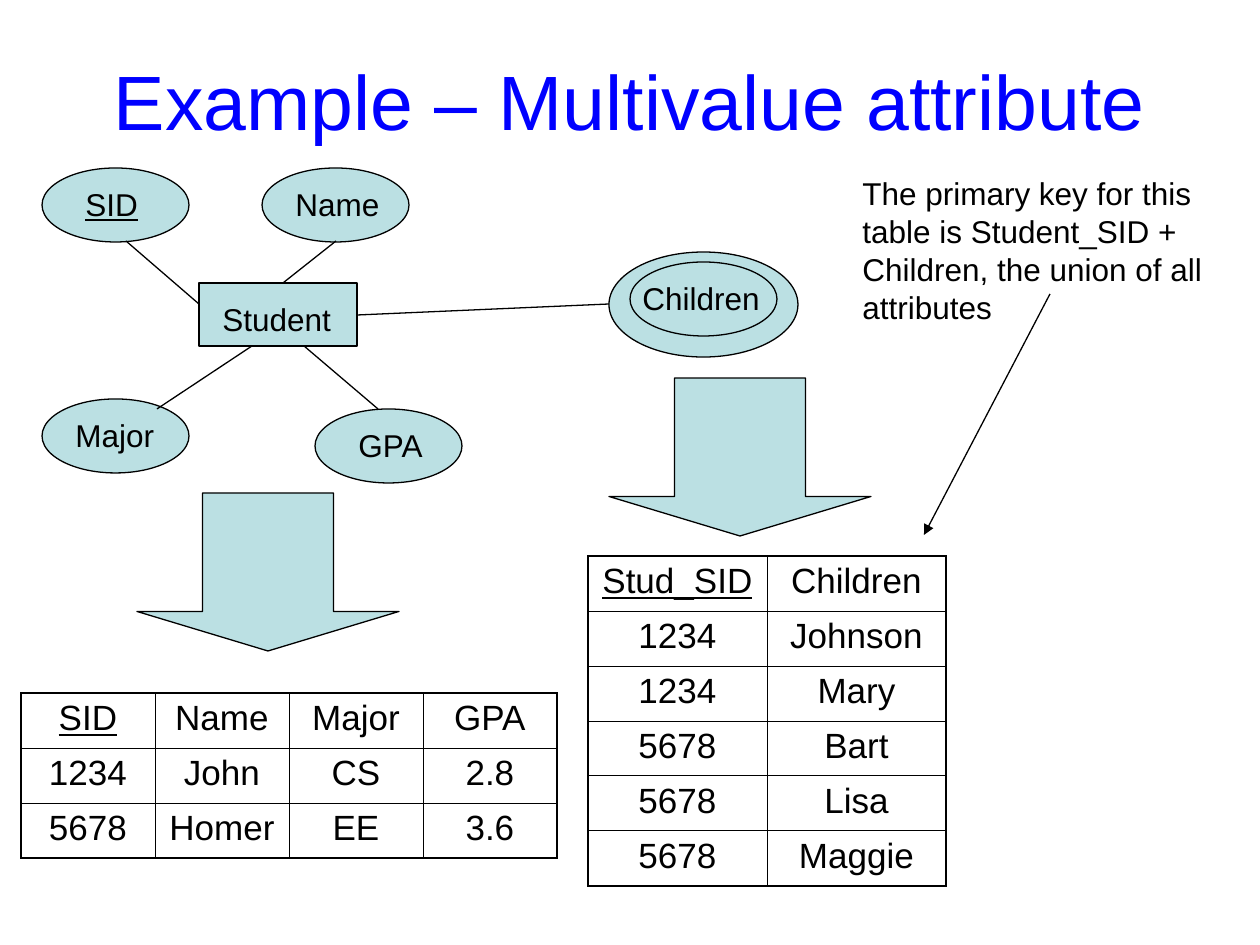
from lxml.etree import SubElement
from pptx import Presentation
from pptx.dml.color import RGBColor
from pptx.enum.shapes import MSO_CONNECTOR, MSO_SHAPE
from pptx.enum.text import MSO_ANCHOR, PP_ALIGN
from pptx.oxml import parse_xml
from pptx.oxml.ns import nsdecls, qn
from pptx.util import Emu, Pt

TITLE = "Example – Multivalue attribute"
FONT = "Arial"
BLACK, WHITE, BLUE, TEAL = "000000", "FFFFFF", "0000FF", "BBE0E3"

OVAL, RECT, ARROW = MSO_SHAPE.OVAL, MSO_SHAPE.RECTANGLE, MSO_SHAPE.DOWN_ARROW
OVAL_SIZE = (147, 74)
ARROW_SIZE = (262, 158)

# kind, left, top, width, height
SHAPES = [
    (RECT, 199, 283, 158, 63),
    (OVAL, 262, 168, *OVAL_SIZE),
    (OVAL, 42, 168, *OVAL_SIZE),
    (OVAL, 42, 399, *OVAL_SIZE),
    (OVAL, 315, 409, *OVAL_SIZE),
    (OVAL, 609, 252, 189, 105),
    (OVAL, 630, 262, *OVAL_SIZE),
    (ARROW, 137, 493, *ARROW_SIZE),
    (ARROW, 609, 378, *ARROW_SIZE),
]

# from x, from y, to x, to y
LINKS = [
    (126, 241, 199, 304),
    (336, 241, 283, 283),
    (378, 409, 304, 346),
    (157, 409, 252, 346),
    (609, 304, 357, 315),
]
POINTER = (1050, 294, 924, 535)

# text, left, top, width, height
KEY_LABEL = "SID"
LABELS = [
    ("Student", 210, 294, 136, 50),
    (KEY_LABEL, 73, 179, 105, 50),
    ("Name", 283, 179, 116, 50),
    ("Major", 63, 410, 105, 50),
    ("GPA", 346, 420, 95, 50),
    ("Children", 630, 273, 147, 50),
    ("The primary key for this table is Student_SID + Children, "
     "the union of all attributes", 850, 168, 378, 164),
]

STUDENT_ROWS = [
    ("SID", "Name", "Major", "GPA"),
    ("1234", "John", "CS", "2.8"),
    ("5678", "Homer", "EE", "3.6"),
]
CHILDREN_ROWS = [
    ("Stud_SID", "Children"),
    ("1234", "Johnson"),
    ("1234", "Mary"),
    ("5678", "Bart"),
    ("5678", "Lisa"),
    ("5678", "Maggie"),
]
# rows, left, top, column width
TABLES = [(STUDENT_ROWS, 21, 693, 134), (CHILDREN_ROWS, 588, 556, 179)]
ROW_HEIGHT = 55
OUTER, INNER = 1.08, 0.45


def px(n):
    return Emu(round(n * 914400 / 126))


def box(*lengths):
    return [px(n) for n in lengths]


def rgb(value):
    return RGBColor.from_string(value)


def style_text(p, size, color=BLACK, underline=False):
    for r in p.runs:
        r.font.name = FONT
        r.font.size = Pt(size)
        r.font.color.rgb = rgb(color)
        r.font.underline = underline


def add_shape(slide, kind, *bounds):
    s = slide.shapes.add_shape(kind, *box(*bounds))
    s.shadow.inherit = False
    s.fill.solid()
    s.fill.fore_color.rgb = rgb(TEAL)
    s.line.color.rgb = rgb(BLACK)
    s.line.width = Pt(0.75)
    if kind == ARROW:
        s.adjustments[0], s.adjustments[1] = 0.5, 0.25


def add_line(slide, *ends, arrow=False):
    c = slide.shapes.add_connector(MSO_CONNECTOR.STRAIGHT, *box(*ends))
    c.line.color.rgb = rgb(BLACK)
    c.line.width = Pt(0.75)
    if arrow:
        SubElement(c.line._get_or_add_ln(), qn("a:tailEnd"), type="triangle")
    SubElement(c._element.spPr, qn("a:effectLst"))


def add_label(slide, text, *bounds):
    tf = slide.shapes.add_textbox(*box(*bounds)).text_frame
    tf.word_wrap = True
    tf.text = text
    style_text(tf.paragraphs[0], 18, underline=text == KEY_LABEL)


def set_borders(cell, widths):
    """Draw the left, right, top and bottom borders, widths in points."""
    tc_pr = cell._tc.get_or_add_tcPr()
    for i, (side, width) in enumerate(zip("LRTB", widths)):
        tc_pr.insert(i, parse_xml(
            f'<a:ln{side} {nsdecls("a")} w="{Pt(width)}"><a:solidFill>'
            f'<a:srgbClr val="{BLACK}"/></a:solidFill></a:ln{side}>'))


def add_table(slide, rows, left, top, col_width):
    n_rows, n_cols = len(rows), len(rows[0])
    table = slide.shapes.add_table(n_rows, n_cols, *box(
        left, top, n_cols * col_width, n_rows * ROW_HEIGHT)).table
    table.first_row = table.horz_banding = False
    for col in table.columns:
        col.width = px(col_width)
    for y, row in enumerate(rows):
        table.rows[y].height = px(ROW_HEIGHT)
        for x, text in enumerate(row):
            cell = table.cell(y, x)
            cell.text = text
            cell.fill.solid()
            cell.fill.fore_color.rgb = rgb(WHITE)
            p = cell.text_frame.paragraphs[0]
            p.alignment = PP_ALIGN.CENTER
            style_text(p, 20, underline=x == y == 0)
            on_edge = (x == 0, x == n_cols - 1, y == 0, y == n_rows - 1)
            set_borders(cell, [OUTER if edge else INNER for edge in on_edge])


def add_title(slide):
    title = slide.shapes.title
    title.left, title.top, title.width, title.height = box(63, 21, 1134, 158)
    tf = title.text_frame
    tf.text = TITLE
    tf.vertical_anchor = MSO_ANCHOR.MIDDLE
    tf.paragraphs[0].alignment = PP_ALIGN.CENTER
    style_text(tf.paragraphs[0], 44, BLUE)


def main():
    prs = Presentation()
    prs.slide_width, prs.slide_height = box(1260, 945)
    slide = prs.slides.add_slide(prs.slide_layouts[5])
    add_title(slide)
    for table in TABLES:
        add_table(slide, *table)
    for shape in SHAPES:
        add_shape(slide, *shape)
    for link in LINKS:
        add_line(slide, *link)
    for label in LABELS:
        add_label(slide, *label)
    add_line(slide, *POINTER, arrow=True)
    prs.save("out.pptx")


if __name__ == "__main__":
    main()
